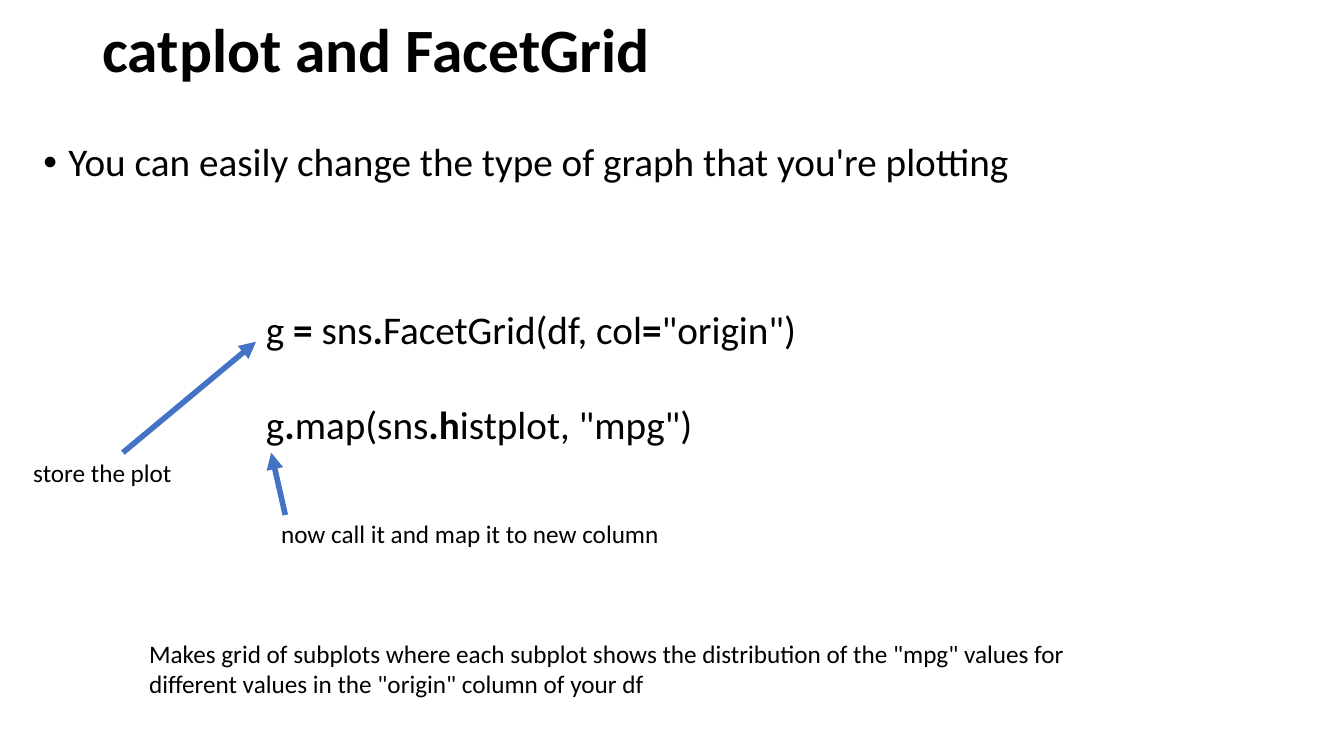
from dataclasses import dataclass
from typing import Any

from lxml import etree
from pptx import Presentation
from pptx.dml.color import RGBColor
from pptx.enum.shapes import MSO_CONNECTOR
from pptx.enum.text import MSO_ANCHOR, MSO_AUTO_SIZE, PP_ALIGN
from pptx.oxml.ns import qn
from pptx.util import Pt

STRAIGHT = MSO_CONNECTOR.STRAIGHT
TOP, MIDDLE = MSO_ANCHOR.TOP, MSO_ANCHOR.MIDDLE
NO_FIT, GROW = MSO_AUTO_SIZE.NONE, MSO_AUTO_SIZE.SHAPE_TO_FIT_TEXT
LEFT = PP_ALIGN.LEFT
BLACK, BLUE = "000000", "4472C4"


@dataclass(frozen=True)
class Text:
    box: tuple[float, float, float, float]
    lines: tuple[tuple[str, ...], ...]
    size: float
    bold: bool = False
    wrap: bool = True
    fit: Any = GROW
    anchor: Any = TOP
    spacing: float = 1.0
    gap: float = 0
    bullet: bool = False


@dataclass(frozen=True)
class Arrow:
    start: tuple[float, float]
    end: tuple[float, float]


TITLE = Text((66, 0, 828, 75.6), (("catplot and FacetGrid",),), 44,
             bold=True, fit=NO_FIT, anchor=MIDDLE, spacing=0.9)
TEXTS = (
    Text((23.8, 98.6, 870.5, 342.7),
         (("You can easily change the type of graph that you're plotting",),),
         28, fit=NO_FIT, spacing=0.9, bullet=True),
    Text((182.9, 214.6, 480.2, 108.7),
         (("g ", "= ", "sns", ".", "FacetGrid(df, col", "=", '"origin")'),
          ("g", ".", "map(sns", ".h", 'istplot, "mpg")')),
         28, gap=34),
    Text((16.6, 323.3, 114.5, 28.8), (("store the plot",),), 18, wrap=False),
    Text((193.7, 366.5, 288, 28.8),
         (("now call it and map it to new column",),), 18, wrap=False),
    Text((99.4, 452.2, 718.6, 51.1),
         (('Makes grid of subplots where each subplot shows the distribution of '
           'the "mpg" values for different values in the "origin" column of your df',),),
         18),
)
ARROWS = (
    Arrow((87.8, 323.3), (182.9, 244.1)),
    Arrow((203.8, 367.9), (193.7, 323.3)),
)


def rgb(color: str) -> RGBColor:
    return RGBColor.from_string(color)


def set_all(target: Any, values: dict[str, Any]) -> None:
    for name, value in values.items():
        setattr(target, name, value)


def add_bullet(p: Any) -> None:
    pPr = p._p.get_or_add_pPr()
    pPr.set("marL", str(Pt(18)))
    pPr.set("indent", str(Pt(-18)))
    etree.SubElement(pPr, qn("a:buFont")).set("typeface", "Arial")
    etree.SubElement(pPr, qn("a:buChar")).set("char", "•")


def write_text(sp: Any, text: Text) -> None:
    left, top, width, height = map(Pt, text.box)
    set_all(sp, {"left": left, "top": top, "width": width, "height": height})
    tf = sp.text_frame
    set_all(tf, {"word_wrap": text.wrap, "auto_size": text.fit,
                 "vertical_anchor": text.anchor})
    for i, parts in enumerate(text.lines):
        p = tf.add_paragraph() if i else tf.paragraphs[0]
        set_all(p, {"alignment": LEFT, "line_spacing": text.spacing,
                    "space_before": Pt(text.gap if i else 0)})
        if text.bullet:
            add_bullet(p)
        for j, part in enumerate(parts):
            r = p.add_run()
            r.text = part
            set_all(r.font, {"name": "Calibri", "size": Pt(text.size),
                             "bold": text.bold or j % 2 == 1})
            r.font.color.rgb = rgb(BLACK)


def add_arrow(s: Any, arrow: Arrow) -> None:
    sp = s.shapes.add_connector(STRAIGHT, *map(Pt, arrow.start + arrow.end))
    sp.line.width = Pt(4)
    sp.line.color.rgb = rgb(BLUE)
    etree.SubElement(sp.line._get_or_add_ln(), qn("a:tailEnd")).set("type", "triangle")
    etree.SubElement(sp._element.spPr, qn("a:effectLst"))


def main() -> None:
    prs = Presentation()
    set_all(prs, {"slide_width": Pt(960), "slide_height": Pt(540)})
    s = prs.slides.add_slide(prs.slide_layouts[5])
    write_text(s.shapes.title, TITLE)
    for text in TEXTS:
        write_text(s.shapes.add_textbox(*map(Pt, text.box)), text)
    for arrow in ARROWS:
        add_arrow(s, arrow)
    prs.save("out.pptx")


if __name__ == "__main__":
    main()
